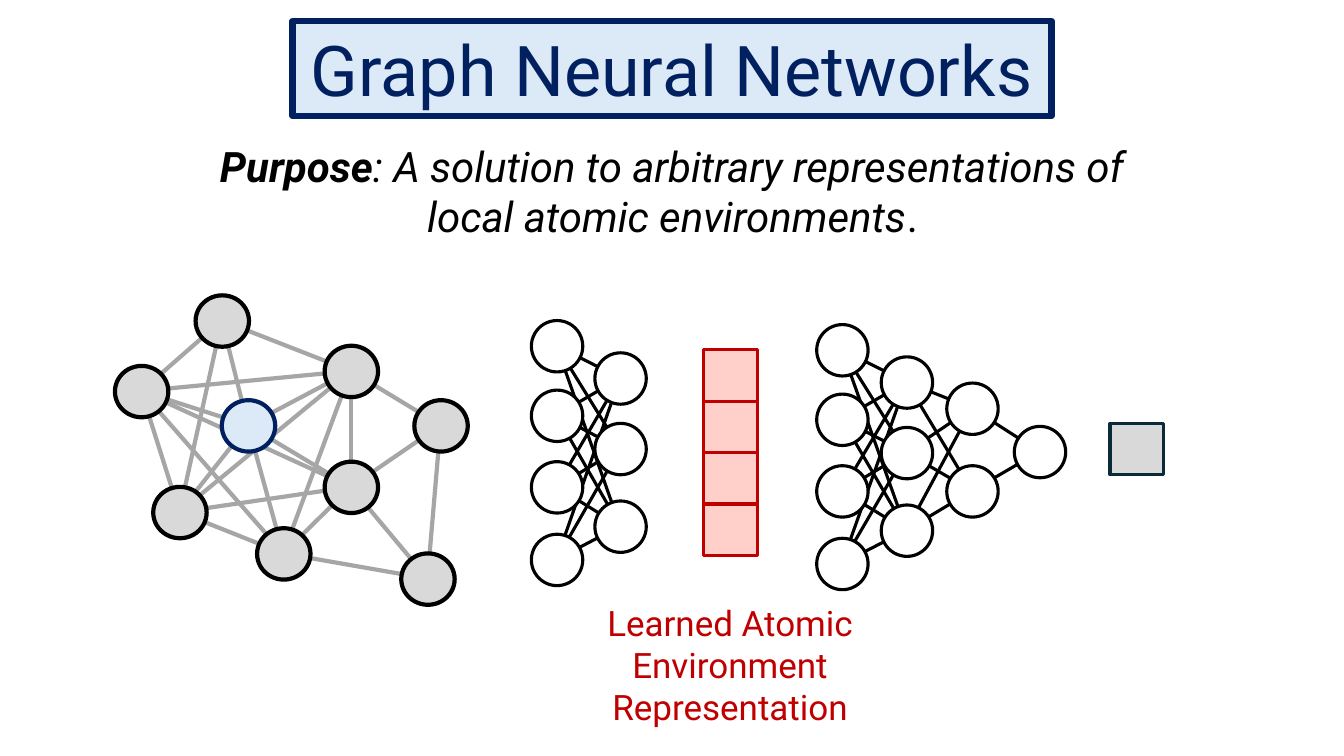
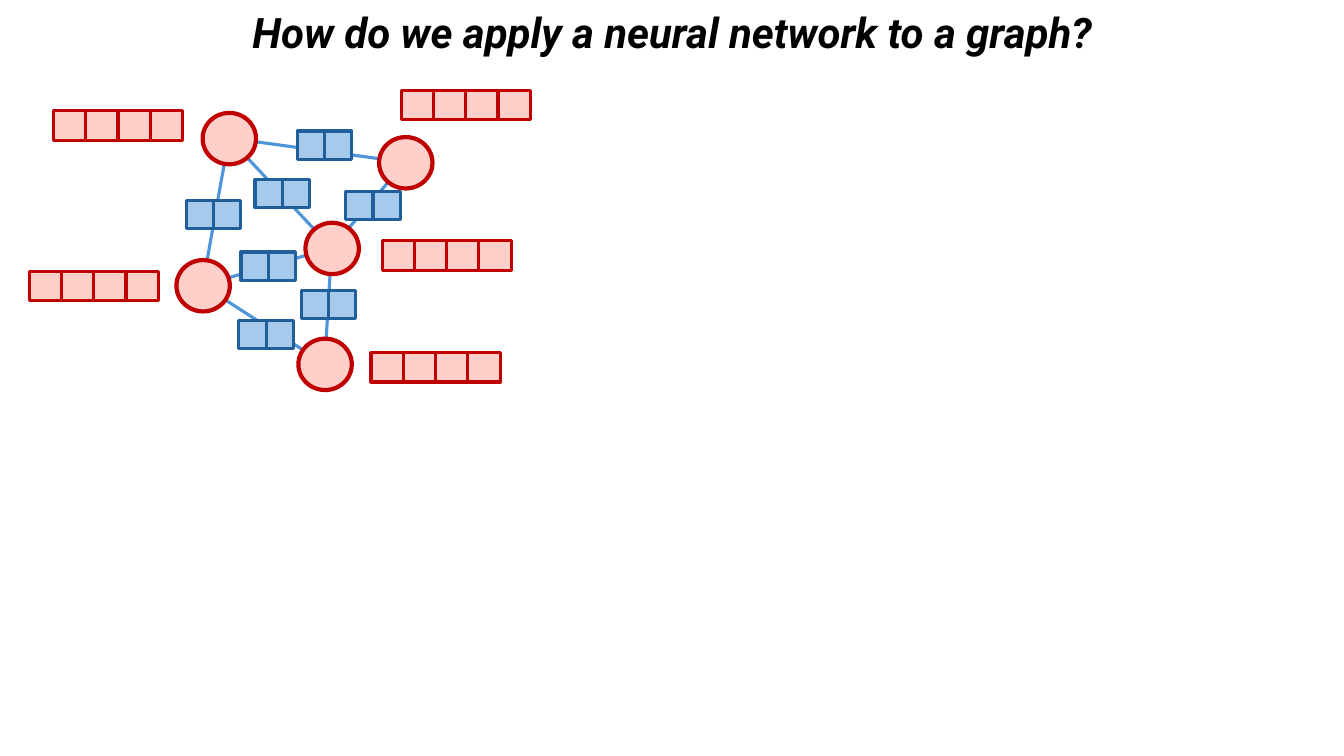
from itertools import product

from lxml import etree
from pptx import Presentation
from pptx import util as u
from pptx.dml.color import RGBColor
from pptx.enum import shapes, text
from pptx.oxml.ns import qn

PX = u.Inches(1) // 100  # 100 px to the inch
FONT = "Roboto"
BLACK = RGBColor(0x00, 0x00, 0x00)
WHITE = RGBColor(0xFF, 0xFF, 0xFF)
NAVY = RGBColor(0x00, 0x20, 0x60)
PALE_BLUE = RGBColor(0xDC, 0xEA, 0xF7)
LIGHT_GREY = RGBColor(0xD9, 0xD9, 0xD9)
EDGE_GREY = RGBColor(0xA6, 0xA6, 0xA6)
RED = RGBColor(0xC0, 0x00, 0x00)
PALE_RED = RGBColor(0xFF, 0xD0, 0xC9)
DARK_TEAL = RGBColor(0x09, 0x2A, 0x39)
EDGE_BLUE = RGBColor(0x4E, 0x95, 0xD9)
FEATURE_BLUE = RGBColor(0xA6, 0xCA, 0xEC)
FEATURE_LINE = RGBColor(0x21, 0x5F, 0x9A)

RECTANGLE = shapes.MSO_SHAPE.RECTANGLE
OVAL = shapes.MSO_SHAPE.OVAL
ATOM = (53, 51)
NEURON = (51, 51)


def add_shape(parent, kind, corner, size, fill, line, weight):
    shape = parent.shapes.add_shape(kind, *(v * PX for v in (*corner, *size)))
    shape.shadow.inherit = False
    shape.fill.solid()
    shape.fill.fore_color.rgb = fill
    shape.line.color.rgb = line
    shape.line.width = u.Pt(weight)


def add_edge(page, start, end, size, color, weight):
    """Join the centres of two nodes of one size, given by their top left corners."""
    ends = [(v + half // 2) * PX for corner in (start, end)
            for v, half in zip(corner, size)]
    edge = page.shapes.add_connector(shapes.MSO_CONNECTOR.STRAIGHT, *ends)
    edge.line.color.rgb = color
    edge.line.width = u.Pt(weight)
    etree.SubElement(edge._element.spPr, qn("a:effectLst"))


deck = Presentation()
deck.slide_width = u.Inches(13.33)
deck.slide_height = u.Inches(7.5)
title_only = deck.slide_layouts[5]

# Titles of both slides
titles = [
    ("Graph Neural Networks", (290, 21, 753, 94), 50, NAVY, False),
    ("How do we apply a neural network to a graph?", (176, 1, 982, 61), 30, BLACK, True),
]
for wording, place, points, color, emphasis in titles:
    title = deck.slides.add_slide(title_only).shapes.title
    title.left, title.top, title.width, title.height = (v * PX for v in place)
    title.text_frame.auto_size = text.MSO_AUTO_SIZE.NONE
    title.text_frame.text = wording
    para = title.text_frame.paragraphs[0]
    para.alignment = text.PP_ALIGN.CENTER
    para.font.name = FONT
    para.font.size = u.Pt(points)
    para.font.color.rgb = color
    para.font.bold = para.font.italic = emphasis

overview, graph = deck.slides

# Slide 1: framed title, purpose and caption
framed = overview.shapes.title
framed.fill.solid()
framed.fill.fore_color.rgb = PALE_BLUE
framed.line.color.rgb = NAVY
framed.line.width = u.Pt(4.5)

# Each run: wording, bold, italic
purpose = [
    ("Purpose", True, True),
    (": A solution to arbitrary representations of local atomic environments", False, True),
    (".", False, False),
]
caption = [("Learned Atomic Environment Representation", False, False)]
for spans, place, points, color in [
    (purpose, (198, 134, 938, 111), 30, BLACK),
    (caption, (569, 592, 310, 136), 25, RED),
]:
    box = overview.shapes.add_textbox(*(v * PX for v in place))
    box.text_frame.word_wrap = True
    para = box.text_frame.paragraphs[0]
    para.alignment = text.PP_ALIGN.CENTER
    para.font.name = FONT
    para.font.size = u.Pt(points)
    para.font.color.rgb = color
    for wording, bold, italic in spans:
        span = para.add_run()
        span.text = wording
        span.font.bold = bold
        span.font.italic = italic

# Slide 1: atomic graph
atoms = {
    "top": (194, 293),
    "upper": (322, 343),
    "centre": (220, 397),
    "lower": (322, 458),
    "low left": (152, 483),
    "bottom": (255, 524),
    "far right": (411, 397),
    "far bottom": (398, 549),
    "left": (114, 363),
}
neighbours = {
    "centre": ["low left", "bottom", "lower", "upper", "top", "left"],
    "left": ["low left", "top", "upper", "lower", "bottom"],
    "low left": ["bottom", "lower", "upper", "top"],
    "bottom": ["lower", "upper", "far bottom"],
    "lower": ["upper", "far right", "far bottom"],
    "upper": ["top", "far right"],
    "far right": ["far bottom"],
}
for atom, others in neighbours.items():
    for other in others:
        add_edge(overview, atoms[atom], atoms[other], ATOM, EDGE_GREY, 3)
for atom, corner in atoms.items():
    fill, line = (PALE_BLUE, NAVY) if atom == "centre" else (LIGHT_GREY, BLACK)
    add_shape(overview, OVAL, corner, ATOM, fill, line, 3)

# Slide 1: learned representation and output
for row in range(4):
    add_shape(overview, RECTANGLE, (698, 347 + row * 51), ATOM, PALE_RED, RED, 2.25)
add_shape(overview, RECTANGLE, (1101, 420), ATOM, LIGHT_GREY, DARK_TEAL, 2.25)

# Slide 1: fully connected networks, each layer as left and tops
encoder = [(527, [318, 387, 458, 530]), (590, [350, 420, 497])]
predictor = [
    (810, [322, 391, 462, 534]),
    (874, [354, 424, 501]),
    (939, [380, 462]),
    (1006, [423]),
]
for network in (encoder, predictor):
    layers = [[(left, top) for top in tops] for left, tops in network]
    for layer, following in zip(layers, layers[1:]):
        for start, end in product(layer, following):
            add_edge(overview, start, end, NEURON, BLACK, 2.25)
    for corner in sum(layers, []):
        add_shape(overview, OVAL, corner, NEURON, WHITE, BLACK, 2.25)

# Slide 2: graph with node and edge features
nodes = [(201, 112), (376, 136), (175, 258), (296, 336), (303, 221)]
for start, end in [(0, 1), (0, 4), (0, 2), (2, 3), (4, 3), (2, 4), (4, 1)]:
    add_edge(graph, nodes[start], nodes[end], ATOM, EDGE_BLUE, 2.25)
for corner in nodes:
    add_shape(graph, OVAL, corner, ATOM, PALE_RED, RED, 3)

edge_features = [(295, 130), (185, 199), (237, 318), (299, 288),
                 (253, 178), (343, 190), (239, 250)]
node_features = [(29, 269), (53, 110), (398, 90), (379, 239), (368, 350)]
for corners, count, cell, fill, line in [
    (edge_features, 2, (27, 28), FEATURE_BLUE, FEATURE_LINE),
    (node_features, 4, (32, 29), PALE_RED, RED),
]:
    for left, top in corners:
        strip = graph.shapes.add_group_shape()
        for column in range(count):
            corner = (left + column * cell[0], top)
            add_shape(strip, RECTANGLE, corner, cell, fill, line, 2.25)

deck.save("out.pptx")
